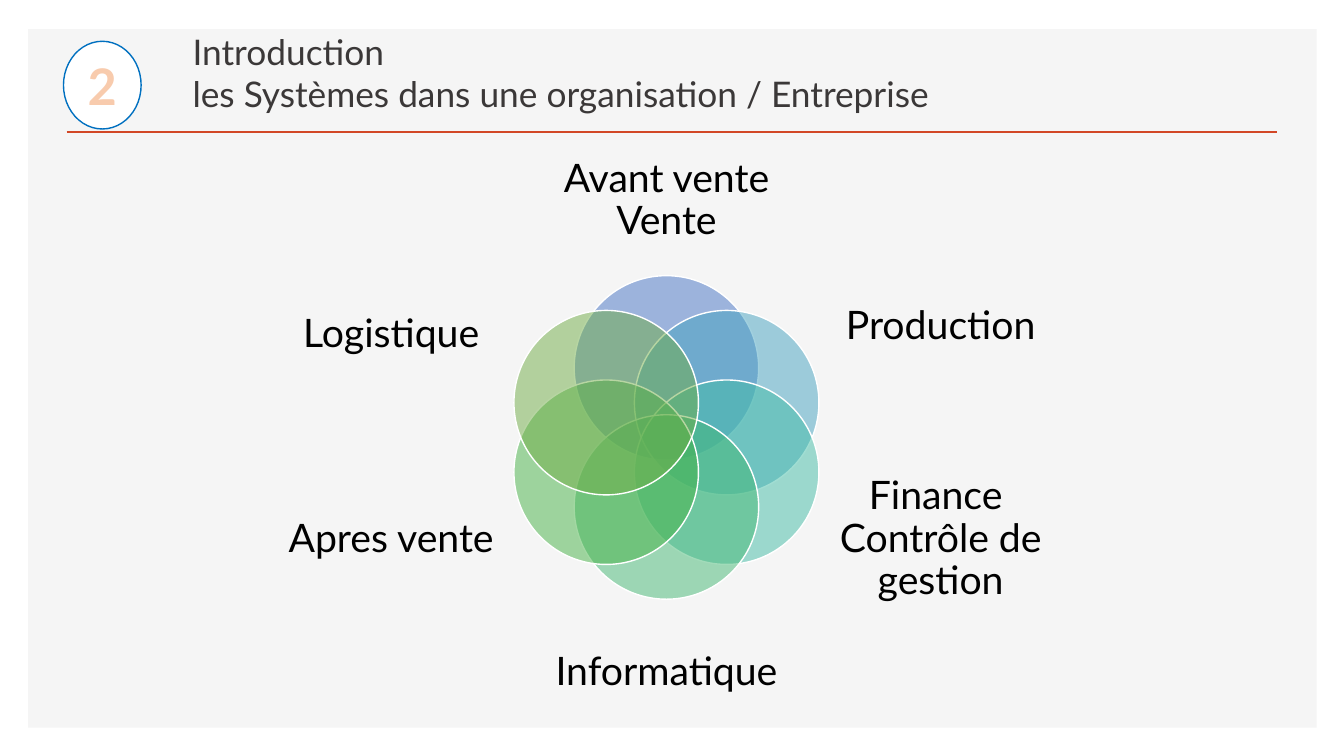
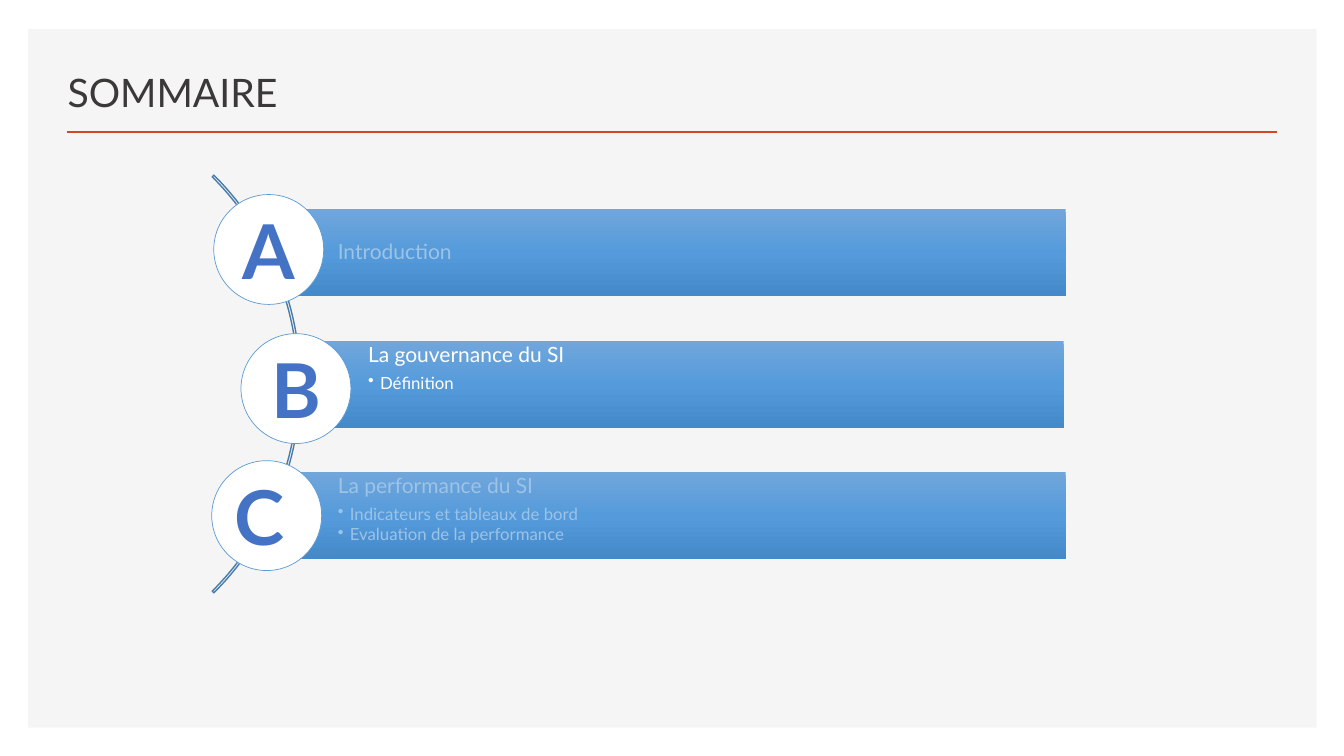
from copy import deepcopy
from math import cos, radians, sin

from lxml import etree
from pptx import Presentation
from pptx.dml.color import RGBColor
from pptx.enum.shapes import MSO_CONNECTOR, MSO_SHAPE
from pptx.enum.text import MSO_ANCHOR, MSO_AUTO_SIZE, PP_ALIGN
from pptx.oxml.ns import qn
from pptx.util import Inches, Pt

STRAIGHT = MSO_CONNECTOR.STRAIGHT
RECT, OVAL, ARC = MSO_SHAPE.RECTANGLE, MSO_SHAPE.OVAL, MSO_SHAPE.BLOCK_ARC
TOP, MIDDLE, BOTTOM = MSO_ANCHOR.TOP, MSO_ANCHOR.MIDDLE, MSO_ANCHOR.BOTTOM
LEFT, CENTER = PP_ALIGN.LEFT, PP_ALIGN.CENTER
NO_AUTOFIT = MSO_AUTO_SIZE.NONE

FONT = "Lato"
WHITE = RGBColor(0xFF, 0xFF, 0xFF)
BLACK = RGBColor(0x00, 0x00, 0x00)
PANEL = RGBColor(0xF5, 0xF5, 0xF5)
RULE = RGBColor(0xD2, 0x47, 0x26)
TITLE = RGBColor(0x3B, 0x38, 0x38)
BADGE_LINE = RGBColor(0x00, 0x70, 0xC0)
PEACH = RGBColor(0xF8, 0xCB, 0xAD)
ORANGE = RGBColor(0xED, 0x7D, 0x31)
BLUE = RGBColor(0x44, 0x72, 0xC4)
LAGOON = RGBColor(0x44, 0xA3, 0xC0)
TEAL = RGBColor(0x43, 0xBD, 0xA7)
JADE = RGBColor(0x44, 0xB8, 0x74)
GREEN = RGBColor(0x46, 0xB2, 0x46)
OLIVE = RGBColor(0x70, 0xAD, 0x47)
ARC_LINE = RGBColor(0x49, 0x7C, 0xAB)
RING = RGBColor(0x5B, 0x9B, 0xD5)
FADED = RGBColor(0x9D, 0xC3, 0xE6)
BAR_STOPS = [
    (0, RGBColor(0x71, 0xA6, 0xDB)),
    (0.5, RGBColor(0x55, 0x9B, 0xDB)),
    (1, RGBColor(0x44, 0x8A, 0xCA)),
]

FUNCTIONS = [
    ("Avant vente\nVente", BLUE, (5.47, 1.37, 2.28, 1.24)),
    ("Production", LAGOON, (8.25, 2.56, 2.16, 1.36)),
    ("Finance \nContrôle de gestion", TEAL, (8.25, 4.59, 2.16, 1.52)),
    ("Informatique", JADE, (5.47, 6.05, 2.28, 1.24)),
    ("Apres vente", GREEN, (2.8, 4.59, 2.16, 1.52)),
    ("Logistique", OLIVE, (2.8, 2.56, 2.16, 1.52)),
]

CHAPTERS = [
    ("A", 2.67, (2.66, 2.07, 7.91), (2.12, 1.93), FADED, "Introduction", []),
    ("B", 2.94, (2.96, 3.38, 7.59), (2.39, 3.31), WHITE,
     "La gouvernance du SI", ["Définition"]),
    ("C", 2.57, (2.66, 4.68, 7.91), (2.1, 4.57), FADED, "La performance du SI",
     ["Indicateurs et tableaux de bord", "Evaluation de la performance"]),
]


class Deck:
    """Holds the shared style and the slide being built."""

    def __init__(self):
        self.prs = Presentation()
        self.prs.slide_width, self.prs.slide_height = Inches(13.33), Inches(7.5)
        self.layout = self.prs.slide_layouts[5]
        self.s = None

    def add_frame(self):
        for ph in list(self.layout.placeholders)[1:]:
            ph.element.getparent().remove(ph.element)
        panel = self.shape(RECT, 0.28, 0.29, 12.78, 6.93, PANEL)
        rule = self.s.shapes.add_connector(
            STRAIGHT, Inches(0.66), Inches(1.31), Inches(12.67), Inches(1.31))
        rule.line.color.rgb = RULE
        rule.line.width = Pt(2)
        etree.SubElement(rule.element.spPr, qn("a:effectLst"))
        for index, sp in enumerate((panel, rule), start=2):
            self.layout.element.cSld.spTree.insert(index, sp.element)

    def add_slide(self, title, x, w, size):
        first = self.s is None
        self.s = self.prs.slides.add_slide(self.layout)
        if first:
            self.add_frame()
        sp = self.s.shapes.title
        sp.left, sp.top, sp.width, sp.height = map(Inches, (x, 0.49, w, 0.7))
        tf = self.frame(sp, BOTTOM)
        self.add_text(tf.paragraphs[0], title, size, TITLE, LEFT)

    def shape(self, kind, x, y, w, h, fill=None, line=None, width=1):
        sp = self.s.shapes.add_shape(kind, *map(Inches, (x, y, w, h)))
        sp.shadow.inherit = False
        if fill is None:
            sp.fill.background()
        else:
            sp.fill.solid()
            sp.fill.fore_color.rgb = fill
        if line is None:
            sp.line.fill.background()
        else:
            sp.line.color.rgb = line
            sp.line.width = Pt(width)
        return sp

    def petal(self, x, y, size, color):
        sp = self.shape(OVAL, x, y, size, size, color, WHITE)
        rgb = sp.element.spPr.find(qn("a:solidFill")).find(qn("a:srgbClr"))
        etree.SubElement(rgb, qn("a:alpha"), val="50000")

    def bar(self, x, y, w, h):
        sp = self.shape(RECT, x, y, w, h)
        sp.fill.gradient()
        sp.fill.gradient_angle = 270
        stops = sp.element.spPr.find(qn("a:gradFill")).find(qn("a:gsLst"))
        stops.insert(1, deepcopy(stops[0]))
        for stop, (position, color) in zip(sp.fill.gradient_stops, BAR_STOPS):
            stop.position = position
            stop.color.rgb = color
        return sp

    def frame(self, sp, anchor, margins=(0.1, 0.05, 0.1, 0.05), wrap=True):
        tf = sp.text_frame
        tf.auto_size = NO_AUTOFIT
        tf.word_wrap = wrap
        tf.vertical_anchor = anchor
        (tf.margin_left, tf.margin_top,
         tf.margin_right, tf.margin_bottom) = map(Inches, margins)
        return tf

    def add_text(self, p, text, size, color, align, bold=False, outline=None):
        p.alignment = align
        for index, line in enumerate(text.split("\n")):
            if index:
                p.add_line_break()
            r = p.add_run()
            r.text = line
            r.font.name = FONT
            r.font.size = Pt(size)
            r.font.bold = bold
            r.font.color.rgb = color
            if outline:
                self.outline(r, *outline)

    def outline(self, r, color, width):
        ln = etree.Element(qn("a:ln"), w=str(Pt(width)))
        fill = etree.SubElement(ln, qn("a:solidFill"))
        etree.SubElement(fill, qn("a:srgbClr"), val=str(color))
        r._r.get_or_add_rPr().insert(0, ln)

    def tighten(self, p, size, after):
        p.line_spacing = 0.9
        p.space_after = Pt(size * after)

    def label(self, text, x, y, w, h):
        sp = self.s.shapes.add_textbox(*map(Inches, (x, y, w, h)))
        p = self.frame(sp, MIDDLE, (0, 0, 0, 0)).paragraphs[0]
        self.tighten(p, 28, 0.35)
        self.add_text(p, text, 28, BLACK, CENTER)

    def letter(self, text, cx, cy):
        w, h = 0.7, 1.01
        sp = self.s.shapes.add_textbox(
            *map(Inches, (cx - w / 2, cy - h / 2, w, h)))
        p = self.frame(sp, TOP, wrap=False).paragraphs[0]
        self.add_text(p, text, 54, BLUE, CENTER, True, (WHITE, 0.75))

    def badge(self, text):
        sp = self.shape(OVAL, 0.63, 0.41, 0.77, 0.87, WHITE, BADGE_LINE)
        p = self.frame(sp, MIDDLE).paragraphs[0]
        self.add_text(p, text, 36, PEACH, CENTER, True, (ORANGE, 1.75))

    def chapter_text(self, sp, heading, bullets, color):
        anchor = TOP if bullets else MIDDLE
        tf = self.frame(sp, anchor, (0.69, 0.04, 0.04, 0.04))
        p = tf.paragraphs[0]
        self.tighten(p, 15, 0.35)
        self.add_text(p, heading, 15, color, LEFT)
        for bullet in bullets:
            p = tf.add_paragraph()
            p.level = 1
            self.tighten(p, 12, 0.15)
            pPr = p._p.get_or_add_pPr()
            pPr.set("marL", str(Inches(0.12)))
            pPr.set("indent", str(Inches(-0.12)))
            etree.SubElement(pPr, qn("a:buChar"), char="•")
            self.add_text(p, bullet, 12, color, LEFT)


def build_functions(deck):
    deck.add_slide(
        "Introduction\nles Systèmes dans une organisation / Entreprise",
        1.81, 9.35, 25.2)
    cx, cy, radius, size = 6.61, 4.34, 0.69, 1.83
    for index, (text, color, box) in enumerate(FUNCTIONS):
        angle = radians(360 / len(FUNCTIONS) * index)
        deck.petal(cx + radius * sin(angle) - size / 2,
                   cy - radius * cos(angle) - size / 2, size, color)
        deck.label(text, *box)
    deck.badge("2")


def build_summary(deck):
    deck.add_slide("SOMMAIRE", 0.57, 7.52, 28)
    arc = deck.shape(ARC, -2.88, 0.88, 5.86, 5.86, line=ARC_LINE)
    for index, value in enumerate((189, 27, 0.004)):
        arc.adjustments[index] = value
    size = 1.09
    for letter, letter_x, bar, ring, color, heading, bullets in CHAPTERS:
        sp = deck.bar(*bar, 0.87)
        deck.chapter_text(sp, heading, bullets, color)
        deck.shape(OVAL, *ring, size, size, WHITE, RING, 0.5)
        deck.letter(letter, letter_x, ring[1] + size / 2)


def main():
    deck = Deck()
    build_functions(deck)
    build_summary(deck)
    deck.prs.save("out.pptx")


if __name__ == "__main__":
    main()
